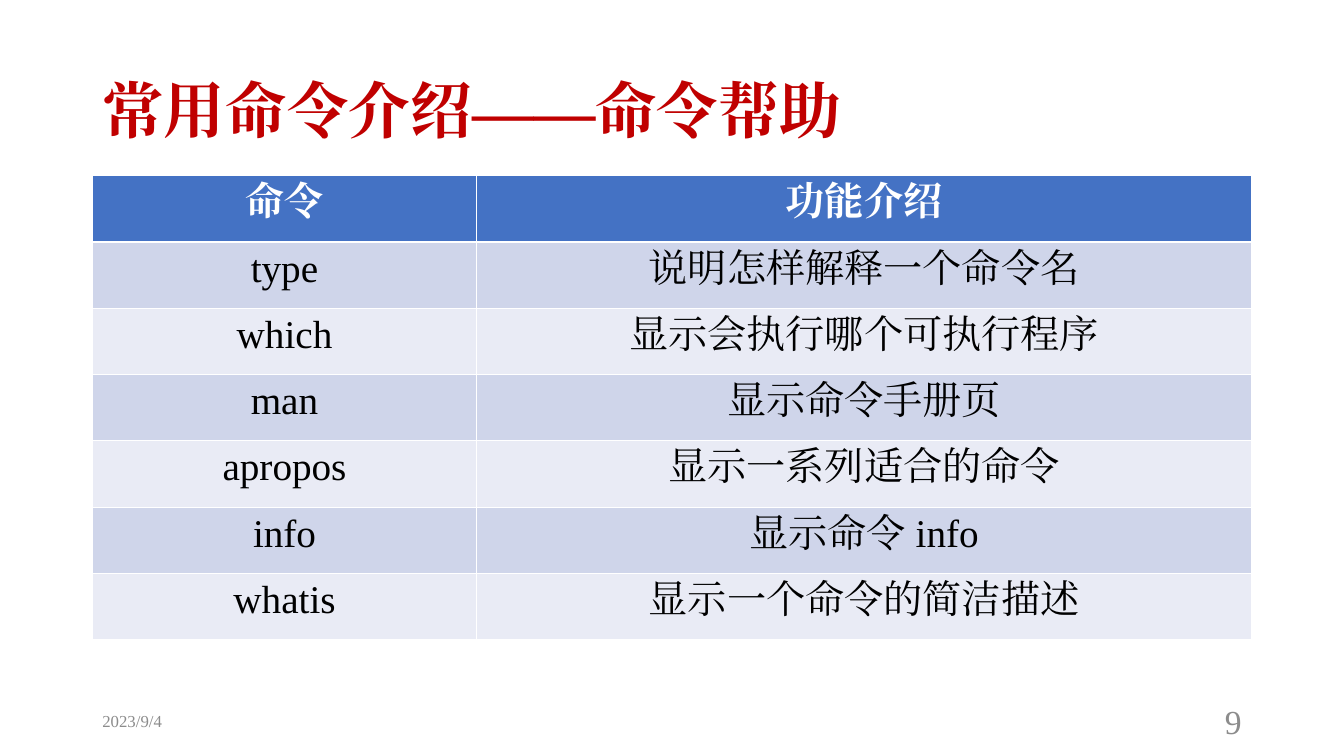
from lxml.etree import SubElement
from pptx import Presentation
from pptx.dml.color import RGBColor
from pptx.enum.text import MSO_ANCHOR as Anchor, PP_ALIGN as Align
from pptx.oxml.ns import qn
from pptx.util import Cm, Pt

FONT = "Times New Roman"
RED = RGBColor(0xC0, 0x00, 0x00)
GREY = RGBColor(0x8C, 0x8C, 0x8C)
BLACK = RGBColor(0x00, 0x00, 0x00)
WHITE = RGBColor(0xFF, 0xFF, 0xFF)
HEADER_BLUE = RGBColor(0x44, 0x72, 0xC4)
BAND_DARK = RGBColor(0xCF, 0xD5, 0xEA)
BAND_LIGHT = RGBColor(0xE9, 0xEB, 0xF5)

LEFT, WIDTH = 2.33, 29.21
ROW_HEIGHT = 1.67
COMMANDS = [
    ("命令", "功能介绍"),
    ("type", "说明怎样解释一个命令名"),
    ("which", "显示会执行哪个可执行程序"),
    ("man", "显示命令手册页"),
    ("apropos", "显示一系列适合的命令"),
    ("info", "显示命令 info"),
    ("whatis", "显示一个命令的简洁描述"),
]


def write(frame, text, size, color, bold=False, align=Align.LEFT):
    """Fill the frame with one paragraph, using FONT for Latin and Chinese."""
    frame.text = text
    para = frame.paragraphs[0]
    para.alignment = align
    span = para.runs[0]
    span.font.size = Pt(size)
    span.font.bold = bold
    span.font.color.rgb = color
    span.font.name = FONT
    SubElement(span.font._element, qn("a:ea"), typeface=FONT)
    return para


def add_label(left, top, width, height, *text_style, **options):
    box = page.shapes.add_textbox(Cm(left), Cm(top), Cm(width), Cm(height))
    box.text_frame.word_wrap = True
    box.text_frame.vertical_anchor = Anchor.MIDDLE
    return write(box.text_frame, *text_style, **options)


deck = Presentation()
deck.slide_width, deck.slide_height = Cm(33.87), Cm(19.05)
page = deck.slides.add_slide(deck.slide_layouts[6])

title = add_label(LEFT, 1.01, WIDTH, 3.68, "常用命令介绍——命令帮助", 44, RED, bold=True)
title.line_spacing = 0.9

table = page.shapes.add_table(
    len(COMMANDS), 2, Cm(LEFT), Cm(4.43), Cm(WIDTH), Cm(ROW_HEIGHT * len(COMMANDS))
).table
table.columns[0].width = Cm(9.68)
table.columns[1].width = Cm(WIDTH - 9.68)

for row, entries in enumerate(COMMANDS):
    table.rows[row].height = Cm(ROW_HEIGHT)
    is_header = row == 0
    band = BAND_DARK if row % 2 else BAND_LIGHT
    for column, text in enumerate(entries):
        cell = table.cell(row, column)
        cell.fill.solid()
        cell.fill.fore_color.rgb = HEADER_BLUE if is_header else band
        write(cell.text_frame, text, 28, WHITE if is_header else BLACK,
              bold=is_header, align=Align.CENTER)

add_label(LEFT, 17.66, 7.62, 1.01, "2023/9/4", 12, GREY)
add_label(LEFT + WIDTH - 7.62, 17.66, 7.62, 1.01, "9", 24, GREY, align=Align.RIGHT)

deck.save("out.pptx")
